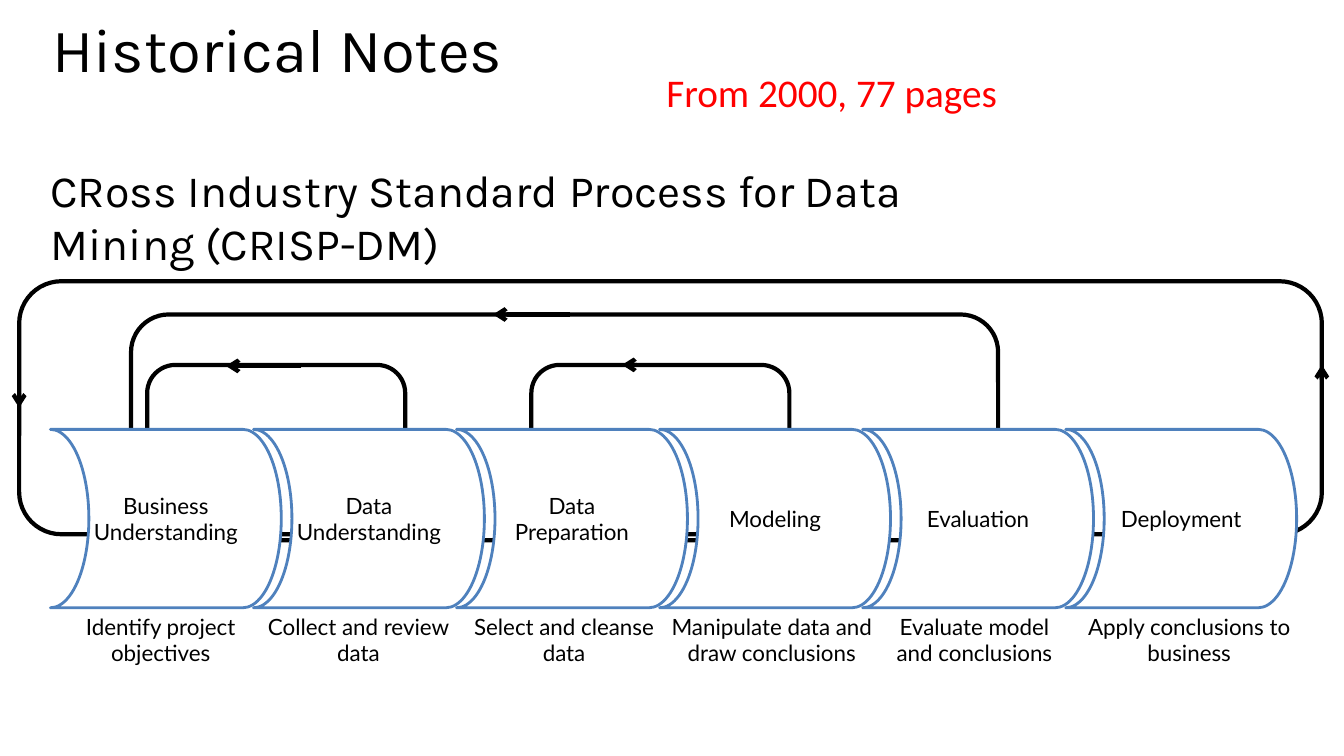
from lxml import etree
from pptx import Presentation
from pptx.dml.color import RGBColor
from pptx.enum.shapes import MSO_CONNECTOR, MSO_SHAPE
from pptx.enum.text import MSO_ANCHOR, MSO_AUTO_SIZE, PP_ALIGN
from pptx.oxml.ns import qn
from pptx.util import Inches, Pt

ROUNDED = MSO_SHAPE.ROUNDED_RECTANGLE
STAGE = MSO_SHAPE.FLOWCHART_STORED_DATA
STRAIGHT = MSO_CONNECTOR.STRAIGHT
TOP, MIDDLE = MSO_ANCHOR.TOP, MSO_ANCHOR.MIDDLE
LEFT, CENTER = PP_ALIGN.LEFT, PP_ALIGN.CENTER
LEFT_SIDE = 1
BLACK, WHITE, BLUE, RED = "000000", "FFFFFF", "4F81BD", "FF0000"


def write(holder, text, font, size, color=BLACK, align=CENTER, anchor=TOP):
    """Put one formatted run into the holder's first paragraph."""
    frame = holder.text_frame
    frame.word_wrap = True
    frame.auto_size = MSO_AUTO_SIZE.NONE
    frame.vertical_anchor = anchor
    paragraph = frame.paragraphs[0]
    paragraph.alignment = align
    paragraph.space_before = Pt(0)
    run = paragraph.add_run()
    run.text = text
    run.font.name = font
    run.font.size = Pt(size)
    run.font.color.rgb = RGBColor.from_string(color)
    return paragraph


def add_outlined(preset, box, color, width):
    shape = slide.shapes.add_shape(preset, *map(Inches, box))
    shape.shadow.inherit = False
    shape.fill.solid()
    shape.fill.fore_color.rgb = RGBColor.from_string(WHITE)
    shape.line.color.rgb = RGBColor.from_string(color)
    shape.line.width = Pt(width)
    return shape


prs = Presentation()
prs.slide_width, prs.slide_height = Inches(13.33), Inches(7.5)
slide = prs.slides.add_slide(prs.slide_layouts[1])

# Title and subtitle
title, subtitle = slide.placeholders
title.left, title.top, title.width, title.height = map(Inches, (0.42, 0.2, 12.6, 1.16))
heading = write(title, "Historical Notes", "Karla", 44, align=LEFT)
heading.line_spacing = 0.8

subtitle.left, subtitle.top, subtitle.width, subtitle.height = map(
    Inches, (0.4, 1.56, 10.18, 5.02))
subtitle.text_frame.margin_right = Inches(0.3)
method = write(subtitle, "CRoss Industry Standard Process for Data Mining (CRISP-DM)",
               "Karla", 32, align=LEFT)
method_format = method._p.get_or_add_pPr()
method_format.set("marL", "0")
method_format.set("indent", "0")
etree.SubElement(method_format, qn("a:buNone"))

# Feedback loops, from the widest inwards
loop_boxes = [
    (0.19, 2.79, 12.92, 2.51),
    (1.3, 3.12, 8.6, 2.24),
    (1.46, 3.62, 2.56, 1.68),
    (5.27, 3.62, 2.56, 1.68),
]
loops = [add_outlined(ROUNDED, box, BLACK, 3) for box in loop_boxes]

# Process stages, each with its caption: text, left, width
stages = [
    ("Business Understanding", "Identify project objectives", 0.56, 2.07),
    ("Data Understanding", "Collect and review data", 2.52, 2.07),
    ("Data Preparation", "Select and cleanse data", 4.56, 2.07),
    ("Modeling", "Manipulate data and draw conclusions", 6.54, 2.23),
    ("Evaluation", "Evaluate model and conclusions", 8.66, 2.01),
    ("Deployment", "Apply conclusions to business", 10.68, 2.23),
]
FIRST_STAGE, STAGE_PITCH = 0.5, 2.014
STAGE_TOP, STAGE_WIDTH, STAGE_HEIGHT = 4.26, 2.29, 1.77
for column, (name, task, task_left, task_width) in enumerate(stages):
    stage = add_outlined(
        STAGE, (FIRST_STAGE + column * STAGE_PITCH, STAGE_TOP, STAGE_WIDTH, STAGE_HEIGHT),
        BLUE, 2)
    stage._element.spPr.get_or_add_xfrm().set("flipH", "1")
    stage.text_frame.margin_left = stage.text_frame.margin_right = 0
    write(stage, name, "Lato", 16, anchor=MIDDLE)
    caption = slide.shapes.add_textbox(
        *map(Inches, (task_left, STAGE_TOP + STAGE_HEIGHT, task_width, 0.64)))
    write(caption, task, "Lato", 16)

# Direction arrows on the loops: start x, start y, end x, end y
arrow_ends = [
    (13.11, 4.2, 13.11, 3.62),
    (5.65, 3.12, 4.89, 3.12),
    (6.92, 3.62, 6.17, 3.62),
    (2.99, 3.63, 2.24, 3.63),
    (0.19, 3.47, 0.19, 4.05),
]
for ends in arrow_ends:
    arrow = slide.shapes.add_connector(STRAIGHT, *map(Inches, ends))
    arrow.line.color.rgb = RGBColor.from_string(BLACK)
    arrow.line.width = Pt(3)
    etree.SubElement(arrow.line._get_or_add_ln(), qn("a:tailEnd"), type="arrow")
    etree.SubElement(arrow._element.spPr, qn("a:effectLst"))
arrow.end_connect(loops[0], LEFT_SIDE)

# Remark on the age of the standard
remark = slide.shapes.add_textbox(*map(Inches, (6.51, 0.63, 4.25, 0.57)))
write(remark, "From 2000, 77 pages", "Calibri", 28, RED, LEFT)

prs.save("out.pptx")
